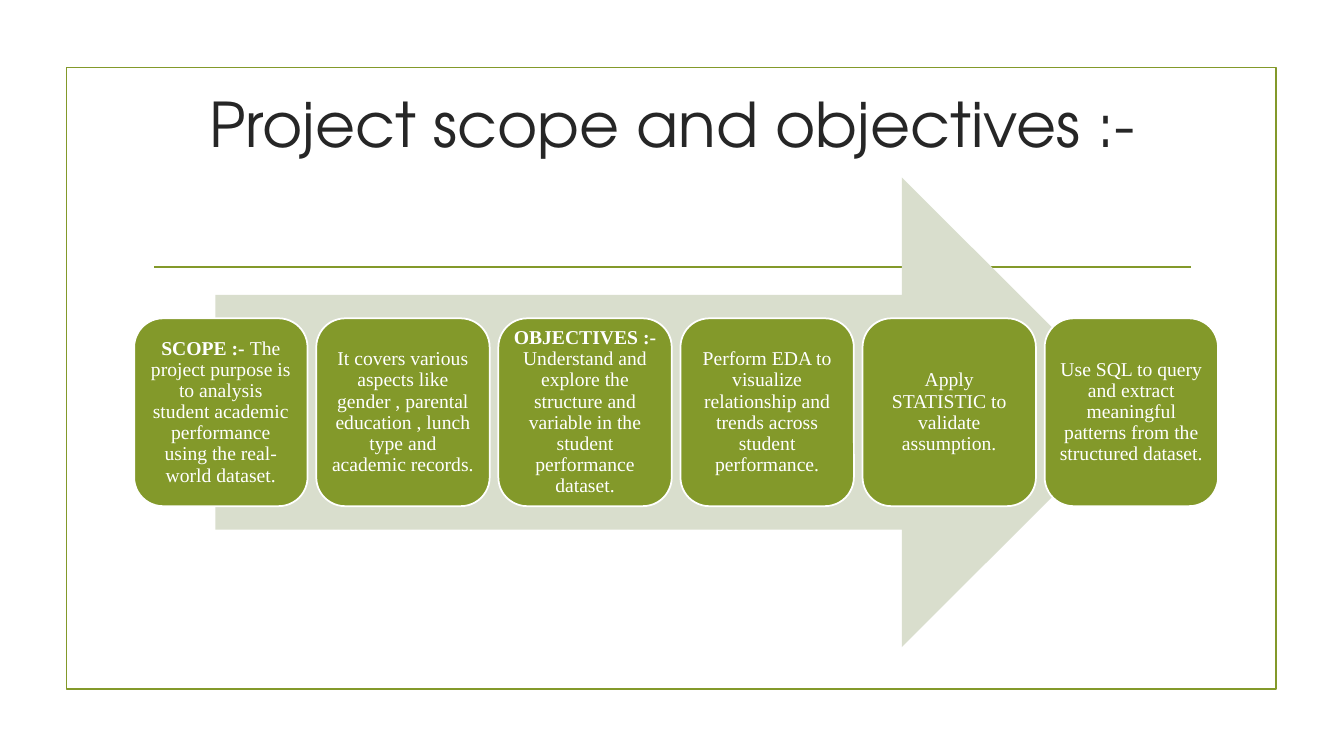
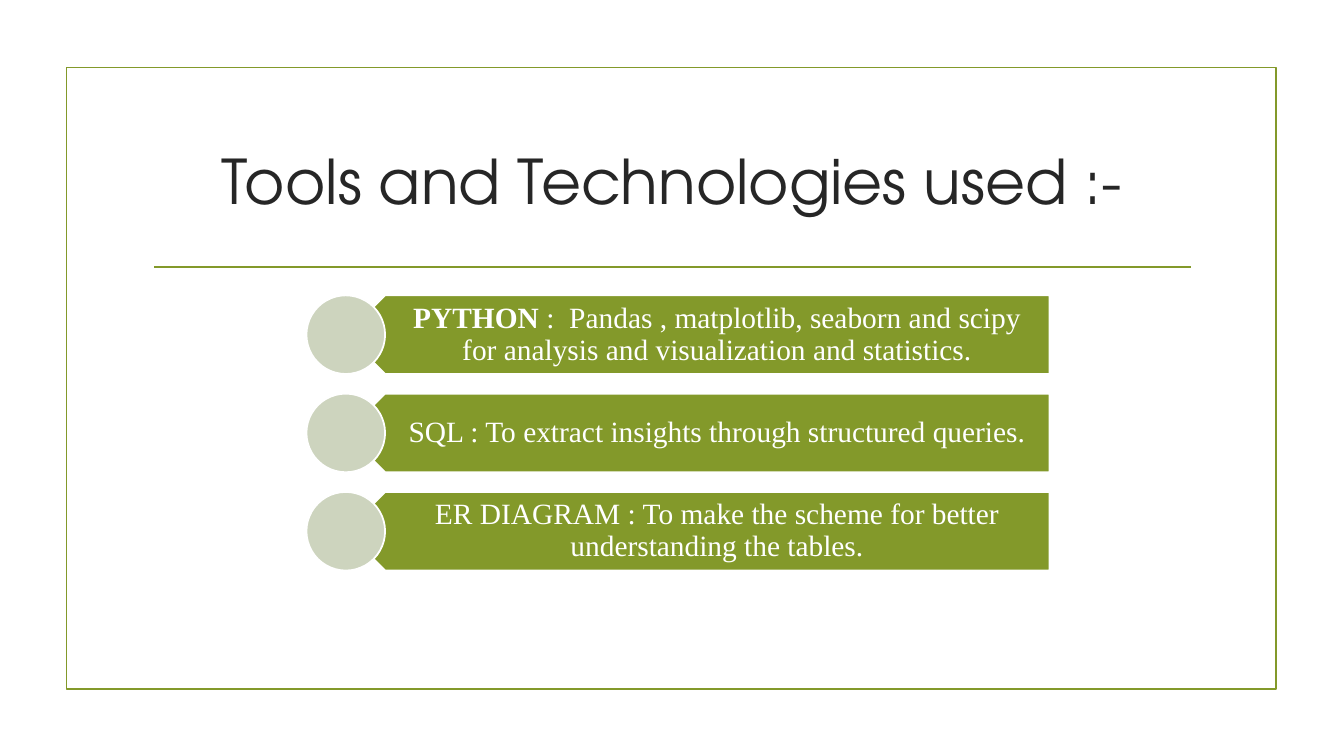
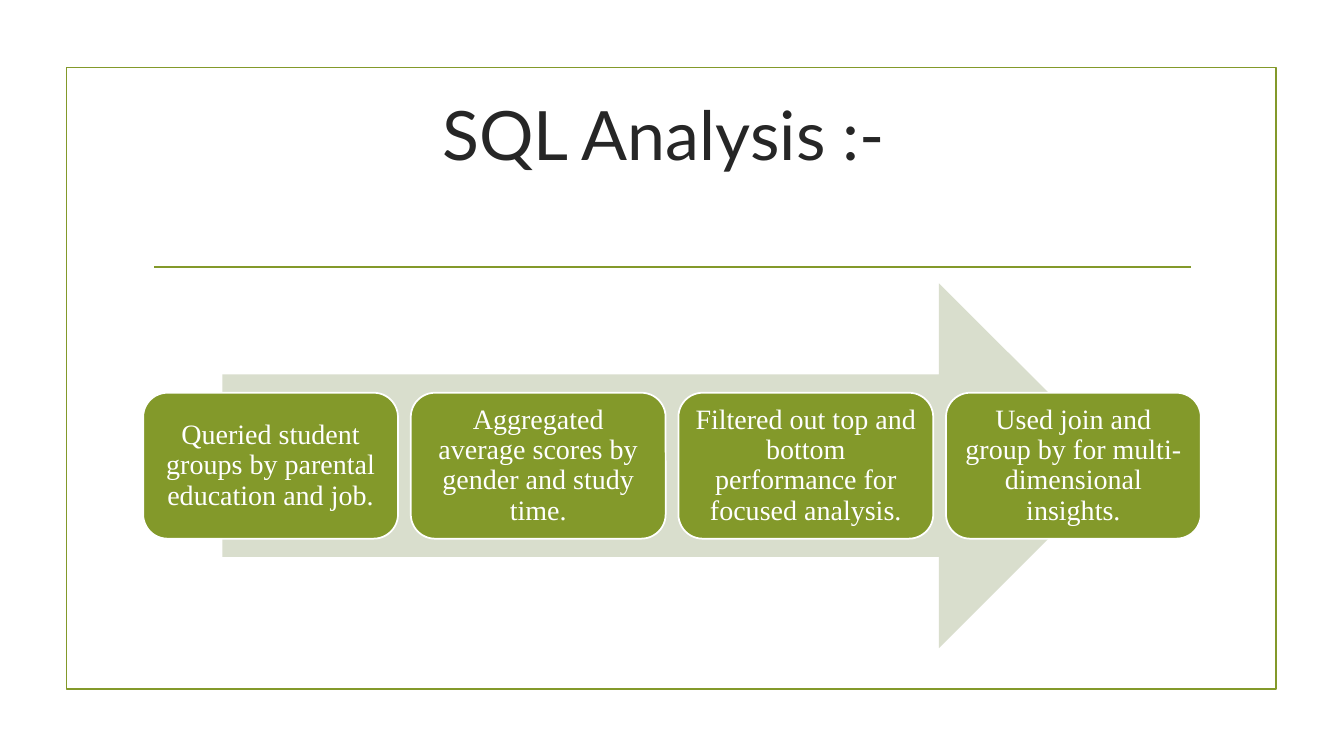
from pptx import Presentation
from pptx.dml.color import RGBColor
from pptx.enum.shapes import MSO_CONNECTOR, MSO_SHAPE
from pptx.enum.text import MSO_ANCHOR, PP_ALIGN
from pptx.oxml.ns import qn
from pptx.util import Inches, Pt
from lxml import etree

WIDTH, HEIGHT = Inches(13.33), Inches(7.5)
COLORS = {
    "olive": "83992A",
    "arrow": "D9DECD",
    "bullet": "CDD4BE",
    "title": "262626",
    "white": "FFFFFF",
}
BODY_FONT = "Times New Roman"
TITLE_FONT = "TeX Gyre Adventor"
LINE_WIDTH = Pt(1.25)

RECT = MSO_SHAPE.RECTANGLE
CARD = MSO_SHAPE.ROUNDED_RECTANGLE
ARROW = MSO_SHAPE.RIGHT_ARROW
PLATE = MSO_SHAPE.PENTAGON
DISC = MSO_SHAPE.OVAL
STRAIGHT = MSO_CONNECTOR.STRAIGHT
MIDDLE = MSO_ANCHOR.MIDDLE
CENTER = PP_ALIGN.CENTER


def x(percent):
    """Percent of the slide's width."""
    return int(WIDTH * percent / 100)


def y(percent):
    """Percent of the slide's height."""
    return int(HEIGHT * percent / 100)


def color(name):
    return RGBColor.from_string(COLORS[name])


def add_figure(slide, preset, box, fill=None, line=None):
    figure = slide.shapes.add_shape(preset, *map(int, box))
    figure.shadow.inherit = False
    if fill:
        figure.fill.solid()
        figure.fill.fore_color.rgb = color(fill)
    else:
        figure.fill.background()
    if line:
        figure.line.color.rgb = color(line)
        figure.line.width = LINE_WIDTH
    else:
        figure.line.fill.background()
    return figure


def write(shape, runs, size, font=BODY_FONT, ink="white", spacing=0.9,
          insets=(0.1, 0.05, 0.1, 0.05)):
    """Fill a shape with one centred paragraph of (text, bold) runs."""
    frame = shape.text_frame
    frame.word_wrap = True
    frame.vertical_anchor = MIDDLE
    (frame.margin_left, frame.margin_top,
     frame.margin_right, frame.margin_bottom) = map(Inches, insets)
    paragraph = frame.paragraphs[0]
    paragraph.alignment = CENTER
    paragraph.line_spacing = spacing
    for text, bold in runs:
        run = paragraph.add_run()
        run.text = text
        run.font.name = font
        run.font.size = Pt(size)
        run.font.bold = bold
        run.font.color.rgb = color(ink)


def add_framed_slide(deck, title, top, height, font=TITLE_FONT, size=44):
    """Add a slide with the shared border, rule and title."""
    slide = deck.slides.add_slide(deck.slide_layouts[6])
    add_figure(slide, RECT, (x(4.95), y(8.93), x(90), y(82.27)), line="olive")
    rule = slide.shapes.add_connector(
        STRAIGHT, x(11.48), y(35.33), x(88.6), y(35.33))
    rule.line.color.rgb = color("olive")
    rule.line.width = LINE_WIDTH
    etree.SubElement(rule._element.spPr, qn("a:effectLst"))
    heading = slide.shapes.add_textbox(x(10.65), y(top), x(78.77), y(height))
    write(heading, [(title, False)], size, font, "title", 1.0)
    return slide


def add_process(slide, steps, left, top, width, height, size, inset):
    """Spread cards evenly over a wide arrow; gaps are 1/20 of a card."""
    add_figure(slide, ARROW, (left + width * 0.075, top, width * 0.85, height),
               fill="arrow")
    card_width = width / (len(steps) + (len(steps) - 1) / 20)
    for index, runs in enumerate(steps):
        card = add_figure(
            slide, CARD,
            (left + index * card_width * 1.05, top + height * 0.3,
             card_width, height * 0.4),
            fill="olive", line="white")
        write(card, runs, size, insets=(inset,) * 4)


def add_tool_list(slide, tools, left, top, width, row_height, pitch):
    """Stack rows of a left-pointing plate with a disc over its tip."""
    for index, runs in enumerate(tools):
        row_top = top + index * pitch
        plate_left = left + row_height / 2
        label_left = plate_left + row_height / 4
        right = left + width
        plate = add_figure(
            slide, PLATE,
            (plate_left, row_top, right - plate_left, row_height),
            fill="olive", line="white")
        plate.rotation = 180
        label = slide.shapes.add_textbox(
            int(label_left), row_top, int(right - label_left), row_height)
        write(label, runs, 21, insets=(0.35, 0.09, 0.16, 0.09))
        add_figure(slide, DISC, (left, row_top, row_height, row_height),
                   fill="bullet", line="white")


def main():
    deck = Presentation()
    deck.slide_width, deck.slide_height = WIDTH, HEIGHT

    scope = add_framed_slide(deck, "Project scope and objectives :-", 10.4, 11.6)
    add_process(scope, [
        [("SCOPE :- ", True),
         ("The project purpose is to analysis student academic performance "
          "using the real-world dataset.", False)],
        [("It covers various aspects like gender , parental education , "
          "lunch type and academic records.", False)],
        [("OBJECTIVES :- ", True),
         ("Understand and explore the structure and variable in the student "
          "performance dataset.", False)],
        [("Perform EDA to visualize relationship and trends across student "
          "performance.", False)],
        [("Apply STATISTIC to validate assumption.", False)],
        [("Use SQL to query and extract meaningful patterns from the "
          "structured dataset.", False)],
    ], x(9.98), y(23.47), x(80.65), y(62.13), size=14, inset=0.06)

    tools = add_framed_slide(deck, "Tools and Technologies used :-", 14.27, 19.07)
    add_tool_list(tools, [
        [("PYTHON", True),
         (" :  Pandas , matplotlib, seaborn and scipy for analysis and "
          "visualization and statistics.", False)],
        [("SQL : To extract insights through structured queries.", False)],
        [("ER DIAGRAM : To make the scheme for better understanding the "
          "tables.", False)],
    ], x(22.8), y(39.07), x(55.29), y(10.4), y(13))

    analysis = add_framed_slide(deck, "SQL Analysis :- ", 11.47, 12.27,
                                font="Lato", size=48.6)
    add_process(analysis, [
        [("Queried student groups by parental education and job.", False)],
        [("Aggregated average scores by gender and study time.", False)],
        [("Filtered out top and bottom performance for focused analysis.",
          False)],
        [("Used join and group by for multi-dimensional insights.", False)],
    ], x(10.65), y(37.47), x(78.7), y(48.27), size=20, inset=0.08)

    deck.save("out.pptx")


if __name__ == "__main__":
    main()
